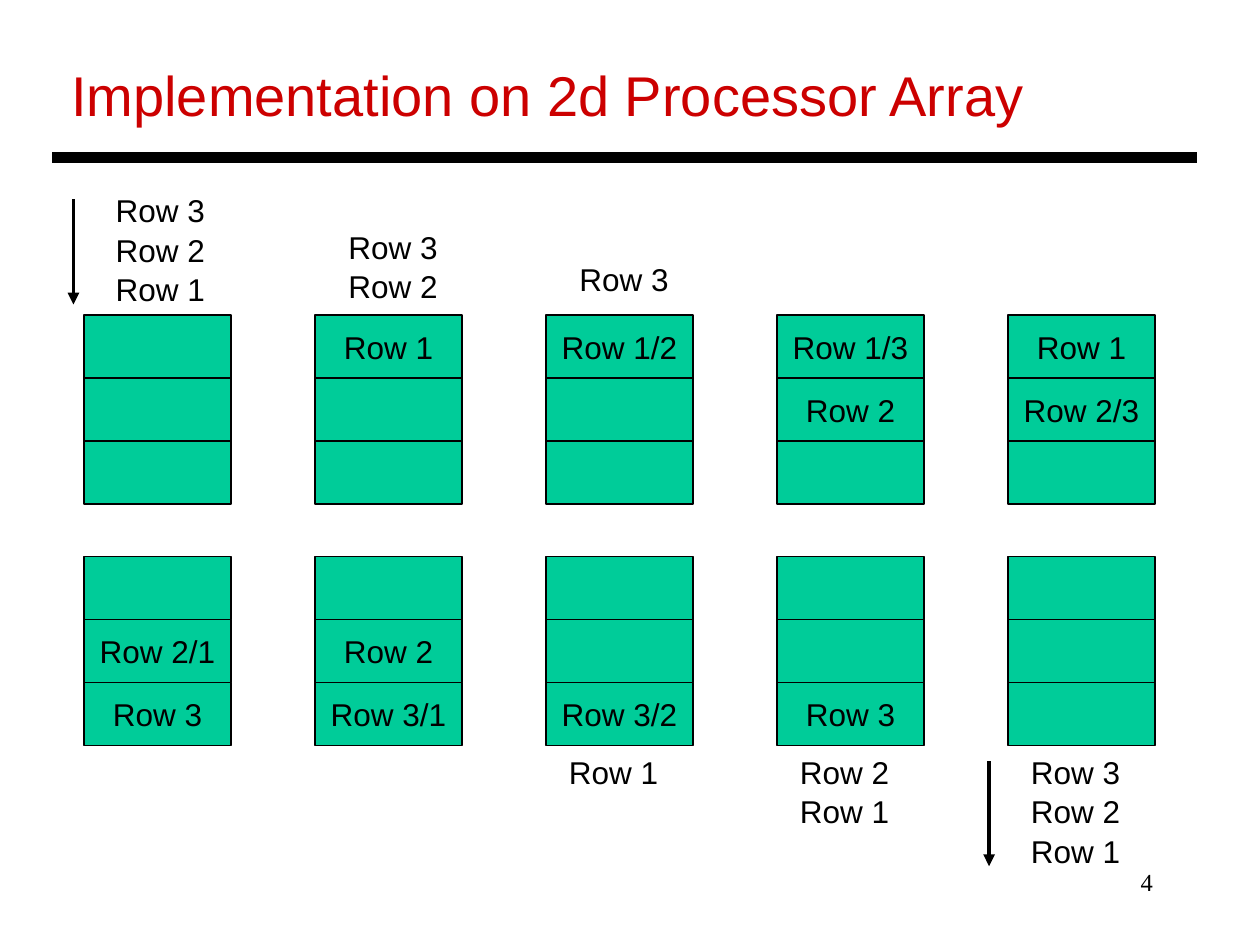
from dataclasses import dataclass
from lxml.etree import SubElement
from pptx import Presentation
from pptx.dml.color import RGBColor as Rgb
from pptx.enum.shapes import MSO_CONNECTOR as Link, MSO_SHAPE as Shape
from pptx.enum.text import MSO_ANCHOR as Anchor, MSO_AUTO_SIZE as Fit, PP_ALIGN as Align
from pptx.oxml.ns import qn
from pptx.util import Inches, Pt


@dataclass(frozen=True)
class Theme:
    red: Rgb = Rgb(0xCC, 0, 0)
    green: Rgb = Rgb(0, 0xCC, 0x99)
    black: Rgb = Rgb(0, 0, 0)
    sans: str = "Arial"
    serif: str = "Times New Roman"
    head: int = 32
    body: int = 18
    foot: int = 14
    lead: float = 1.04
    edge: float = 0.75
    arrow: float = 2.25
    bar: float = 6


LOOK = Theme()
WIDE, HIGH = Inches(10), Inches(7.5)
COLS, ROWS = 120, 90

PITCH, CELL_W, CELL_H = 22, 14, 6
LEFT, UPPER, LOWER = 8, 30, 53
QUEUE_W, LINE_H, PAD = 10.9, 3.6, 1.2

FIRST = [
    ["", "", ""],
    ["Row 1", "", ""],
    ["Row 1/2", "", ""],
    ["Row 1/3", "Row 2", ""],
    ["Row 1", "Row 2/3", ""],
]
SECOND = [
    ["", "Row 2/1", "Row 3"],
    ["", "Row 2", "Row 3/1"],
    ["", "", "Row 3/2"],
    ["", "", "Row 3"],
    ["", "", ""],
]
WAITING = [
    (9.84, 17.5, ["Row 3", "Row 2", "Row 1"]),
    (32, 21, ["Row 3", "Row 2"]),
    (54, 24, ["Row 3"]),
]
DONE = [
    (53, 71, ["Row 1"]),
    (75, 71, ["Row 2", "Row 1"]),
    (97, 71, ["Row 3", "Row 2", "Row 1"]),
]


def across(col):
    return round(WIDE * col / COLS)


def down(row):
    return round(HIGH * row / ROWS)


def place(x, y, w, h):
    return across(x), down(y), across(w), down(h)


def style(frame, size, color=LOOK.black, face=LOOK.sans, align=Align.LEFT):
    for para in frame.paragraphs:
        para.alignment = align
        for run in para.runs:
            run.font.size = Pt(size)
            run.font.name = face
            run.font.color.rgb = color


def add_text(slide, box, text):
    frame = slide.shapes.add_textbox(*place(*box)).text_frame
    frame.word_wrap = False
    frame.auto_size = Fit.SHAPE_TO_FIT_TEXT
    frame.text = text
    return frame


def add_line(slide, start, end, width, tip=False):
    line = slide.shapes.add_connector(
        Link.STRAIGHT, across(start[0]), down(start[1]), across(end[0]), down(end[1])
    )
    line.line.color.rgb = LOOK.black
    line.line.width = Pt(width)
    if tip:
        SubElement(line.line._get_or_add_ln(), qn("a:tailEnd"), type="triangle")
    SubElement(line._element.spPr, qn("a:effectLst"))


def add_title(slide, box):
    x, y, w, h = box
    frame = add_text(slide, (x + 0.6, y, 93.5, 7.7), "Implementation on 2d Processor Array")
    style(frame, LOOK.head, LOOK.red)
    add_line(slide, (x, y + h), (x + w, y + h), LOOK.bar)


def add_stack(slide, box, labels):
    x, y, w, h = box
    step = h / len(labels)
    for row, label in enumerate(labels):
        cell = slide.shapes.add_shape(Shape.RECTANGLE, *place(x, y + row * step, w, step))
        cell.shadow.inherit = False
        cell.fill.solid()
        cell.fill.fore_color.rgb = LOOK.green
        cell.line.color.rgb = LOOK.black
        cell.line.width = Pt(LOOK.edge)
        if label:
            frame = cell.text_frame
            frame.word_wrap = False
            frame.vertical_anchor = Anchor.MIDDLE
            frame.text = label
            style(frame, LOOK.body, align=Align.CENTER)


def add_stage(slide, box, stacks):
    x, y, w, h = box
    for col, labels in enumerate(stacks):
        add_stack(slide, (x + col * PITCH, y, w, h), labels)


def add_queue(slide, box, lines):
    frame = add_text(slide, box, "\n".join(lines))
    style(frame, LOOK.body)
    for para in frame.paragraphs:
        para.line_spacing = LOOK.lead


def add_flow(slide, box, queues):
    x, y, h = box
    for left, top, lines in queues:
        add_queue(slide, (left, top, QUEUE_W, len(lines) * LINE_H + PAD), lines)
    add_line(slide, (x, y), (x, y + h), LOOK.arrow, tip=True)


def add_number(slide, box):
    frame = add_text(slide, box, "4")
    frame.word_wrap = True
    frame.auto_size = Fit.NONE
    style(frame, LOOK.foot, face=LOOK.serif, align=Align.RIGHT)


def main():
    deck = Presentation()
    deck.slide_width, deck.slide_height = WIDE, HIGH
    slide = deck.slides.add_slide(deck.slide_layouts[6])
    add_title(slide, (5, 5.2, 109, 9.8))
    add_stage(slide, (LEFT, UPPER, CELL_W, 3 * CELL_H), FIRST)
    add_flow(slide, (7, 19, 10), WAITING)
    add_stage(slide, (LEFT, LOWER, CELL_W, 3 * CELL_H), SECOND)
    add_flow(slide, (94.2, 72.5, 10), DONE)
    add_number(slide, (86, 82, 25, 6))
    deck.save("out.pptx")


if __name__ == "__main__":
    main()
